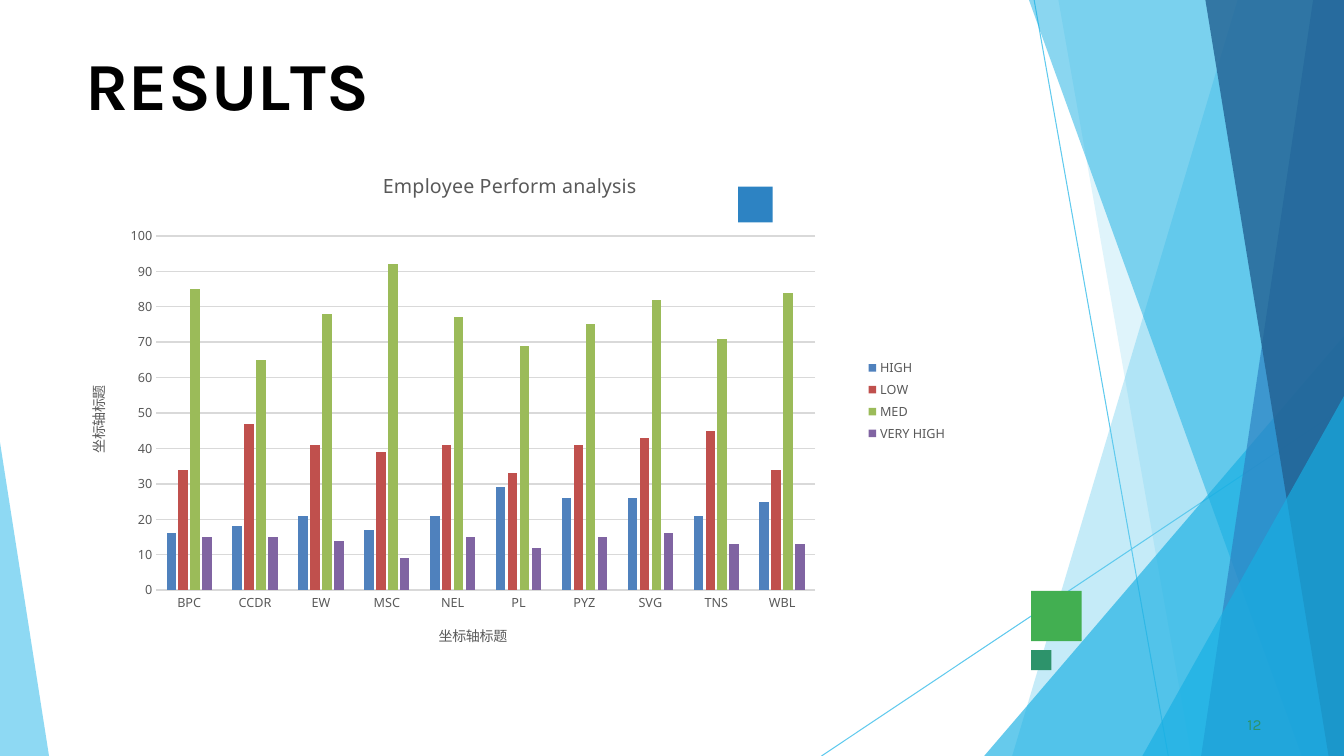
import pptx
import pptx.util
import pptx.chart.data
import pptx.dml.color
import pptx.enum.chart
import pptx.enum.shapes
import pptx.enum.text
import pptx.oxml
import pptx.oxml.ns
import lxml.etree

Pt = pptx.util.Pt
qn = pptx.oxml.ns.qn

COLOURS = {
    "sky": "5FCAEE", "cyan": "17AFE3", "blue": "2D83C3", "navy": "226192",
    "green": "42AF51", "teal": "2D936B", "black": "000000",
    "label": "595959", "grid": "D9D9D9",
    "HIGH": "4F81BD", "LOW": "C0504D", "MED": "9BBB59", "VERY HIGH": "8064A2",
}
SITES = ["BPC", "CCDR", "EW", "MSC", "NEL", "PL", "PYZ", "SVG", "TNS", "WBL"]
RATINGS = {
    "HIGH": [16, 18, 21, 17, 21, 29, 26, 26, 21, 25],
    "LOW": [34, 47, 41, 39, 41, 33, 41, 43, 45, 34],
    "MED": [85, 65, 78, 92, 77, 69, 75, 82, 71, 84],
    "VERY HIGH": [15, 15, 14, 9, 15, 12, 15, 16, 13, 13],
}
AXIS_TITLE = "坐标轴标题"


def rgb(name):
    return pptx.dml.color.RGBColor.from_string(COLOURS[name])


def paint(shape, colour, opacity=100):
    shape.shadow.inherit = False
    shape.line.fill.background()
    shape.fill.solid()
    shape.fill.fore_color.rgb = rgb(colour)
    if opacity < 100:
        tone = shape.fill._xPr.find(".//" + qn("a:srgbClr"))
        lxml.etree.SubElement(tone, qn("a:alpha"), val=str(opacity * 1000))


def style_font(font, size, colour="label", face="Noto Sans", bold=False):
    font.size = Pt(size)
    font.name = face
    font.bold = bold
    font.color.rgb = rgb(colour)


def add_text(slide, box, pieces, space_before=0, indent=0, **font_format):
    frame = slide.shapes.add_textbox(*map(Pt, box)).text_frame
    frame.word_wrap = True
    frame.vertical_anchor = pptx.enum.text.MSO_ANCHOR.TOP
    frame.margin_left = frame.margin_right = frame.margin_bottom = 0
    frame.margin_top = Pt(1)
    paragraph = frame.paragraphs[0]
    paragraph.space_before = Pt(space_before)
    paragraph._p.get_or_add_pPr().set("marL", str(Pt(indent)))
    for letters, spacing in pieces:
        run = paragraph.add_run()
        run.text = letters
        style_font(run.font, **font_format)
        run.font._element.set("spc", str(round(spacing * 100)))


def add_facets(slide, box):
    left, top, width, height = box
    right, bottom = left + width, top + height
    rays = [
        ((left + 738.7, top), (left + 834.5, bottom)),
        ((right, top + 290.9), (left + 586.8, bottom)),
    ]
    for start, end in rays:
        ray = slide.shapes.add_connector(
            pptx.enum.shapes.MSO_CONNECTOR.STRAIGHT, *map(Pt, start + end))
        ray.line.color.rgb = rgb("sky")
        ray.line.width = Pt(0.75)
        lxml.etree.SubElement(ray._element.spPr, qn("a:effectLst"))

    def band(top_x, bottom_x):
        return [(right, top), (left + top_x, top), (left + bottom_x, bottom), (right, bottom)]

    def corner(edge_x, rise, foot_x):
        return [(edge_x, top + rise), (left + foot_x, bottom), (edge_x, bottom)]

    facets = [
        (band(884.2, 722.9), "sky", 36),
        (band(756, 851), "sky", 20),
        (corner(right, 239.8, 703.4), "cyan", 66),
        (band(735.1, 929.5), "cyan", 50),
        (band(938.2, 858.2), "blue", 70),
        (band(861.1, 949), "navy", 80),
        (corner(right, 283, 816.5), "cyan", 66),
        (corner(left, 316.1, 35.3), "sky", 70),
    ]
    for outline, colour, opacity in facets:
        builder = slide.shapes.build_freeform(*outline[0], scale=12700.0)
        builder.add_line_segments(outline[1:], close=True)
        paint(builder.convert_to_shape(), colour, opacity)


def add_squares(slide, box):
    left, top = box[:2]
    squares = [
        (736.6, 422, 36, 36, "green"),
        (527.2, 133.4, 24.8, 25.5, "blue"),
        (736.6, 464.4, 14.4, 14.4, "teal"),
    ]
    for x, y, width, height, colour in squares:
        square = slide.shapes.add_shape(
            pptx.enum.shapes.MSO_SHAPE.RECTANGLE,
            Pt(left + x), Pt(top + y), Pt(width), Pt(height))
        paint(square, colour)


def set_title(titled, text, size):
    frame = titled.text_frame
    frame.text = text
    style_font(frame.paragraphs[0].runs[0].font, size)


def style_axis(axis):
    axis.major_tick_mark = axis.minor_tick_mark = pptx.enum.chart.XL_TICK_MARK.NONE
    style_font(axis.tick_labels.font, 9)
    set_title(axis.axis_title, AXIS_TITLE, 10)


def place_plot(chart, x, y, w, h):
    area = chart._chartSpace.chart.plotArea
    for old in area.findall(qn("c:layout")):
        area.remove(old)
    layout = lxml.etree.Element(qn("c:layout"))
    manual = lxml.etree.SubElement(layout, qn("c:manualLayout"))
    settings = {"layoutTarget": "inner", "xMode": "edge", "yMode": "edge",
                "x": x, "y": y, "w": w, "h": h}
    for tag, value in settings.items():
        lxml.etree.SubElement(manual, qn("c:" + tag), val=str(value))
    area.insert(0, layout)


def add_results_chart(slide, box):
    ratings = pptx.chart.data.CategoryChartData()
    ratings.categories = SITES
    for level, counts in RATINGS.items():
        ratings.add_series(level, counts)
    chart = slide.shapes.add_chart(
        pptx.enum.chart.XL_CHART_TYPE.COLUMN_CLUSTERED, *map(Pt, box), ratings).chart
    style_font(chart.font, 10, "black")
    chart.has_title = True
    set_title(chart.chart_title, "Employee Perform analysis ", 14)
    chart.chart_title.include_in_layout = False

    chart.has_legend = True
    chart.legend.position = pptx.enum.chart.XL_LEGEND_POSITION.RIGHT
    chart.legend.include_in_layout = False
    style_font(chart.legend.font, 9)

    columns = chart.plots[0]
    columns.gap_width = 219
    columns.overlap = -27
    columns.vary_by_categories = False
    for series in columns.series:
        series.invert_if_negative = False
        series.format.fill.solid()
        series.format.fill.fore_color.rgb = rgb(series.name)

    sites, scores = chart.category_axis, chart.value_axis
    style_axis(sites)
    style_axis(scores)
    scores.minimum_scale, scores.maximum_scale, scores.major_unit = 0, 100, 10
    scores.format.line.fill.background()
    scores.has_major_gridlines = True
    for line in (sites.format.line, scores.major_gridlines.format.line):
        line.color.rgb = rgb("grid")
        line.width = Pt(1)
    place_plot(chart, 0.1, 0.17, 0.74, 0.71)


def build_results_slide(deck):
    slide = deck.slides.add_slide(deck.slide_layouts[6])
    page = (0, 0, deck.slide_width.pt, deck.slide_height.pt)
    add_facets(slide, page)
    add_squares(slide, page)
    heading = [("R", 0), ("E", -0.4), ("S", 0.1), ("U", -0.3), ("L", -4), ("TS", 0)]
    add_text(slide, (60, 30, 841, 60), heading, space_before=1, indent=1,
             size=48, colour="black", face="Karla", bold=True)
    add_text(slide, (888, 510, 18, 15), [("12", 0.1)], space_before=0.6, indent=3,
             size=11, colour="teal", face="Karla")
    add_results_chart(slide, (48, 108, 636, 356.4))


def main():
    deck = pptx.Presentation()
    deck.slide_width, deck.slide_height = Pt(960), Pt(540)
    build_results_slide(deck)
    deck.save("out.pptx")


if __name__ == "__main__":
    main()
